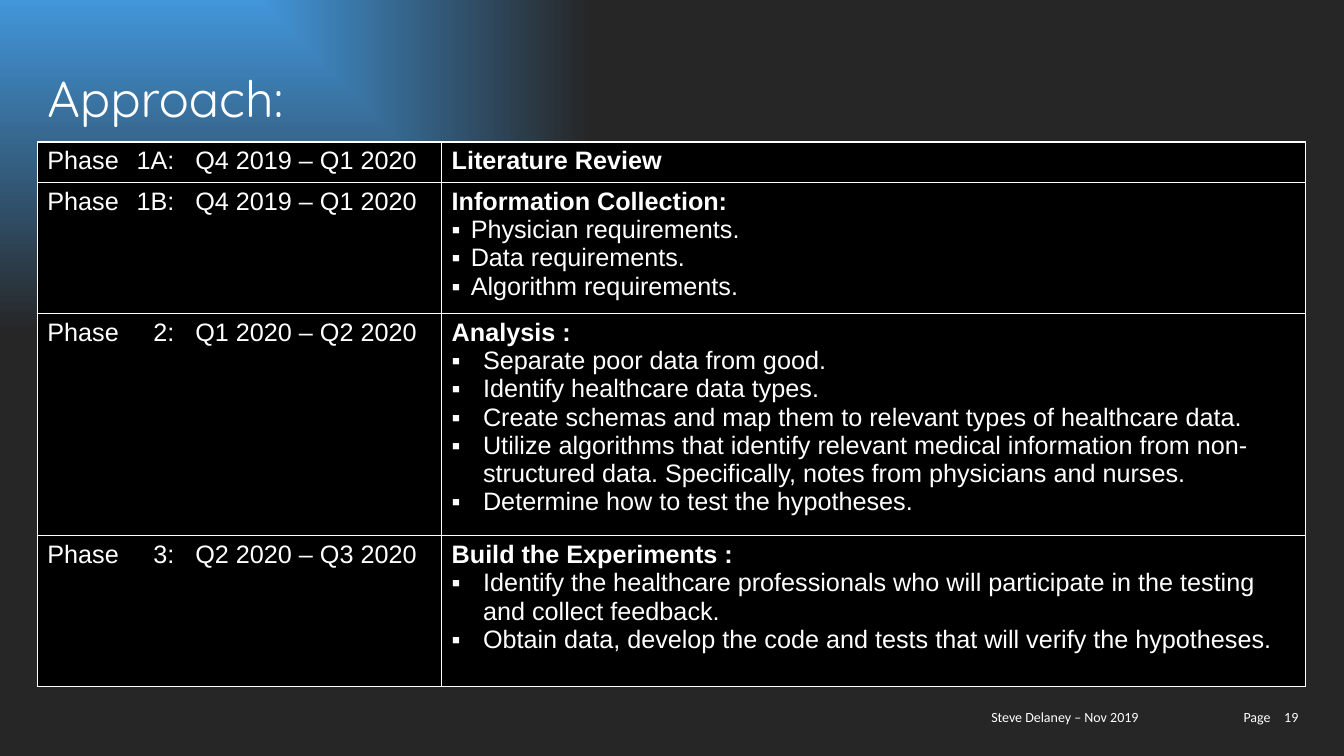
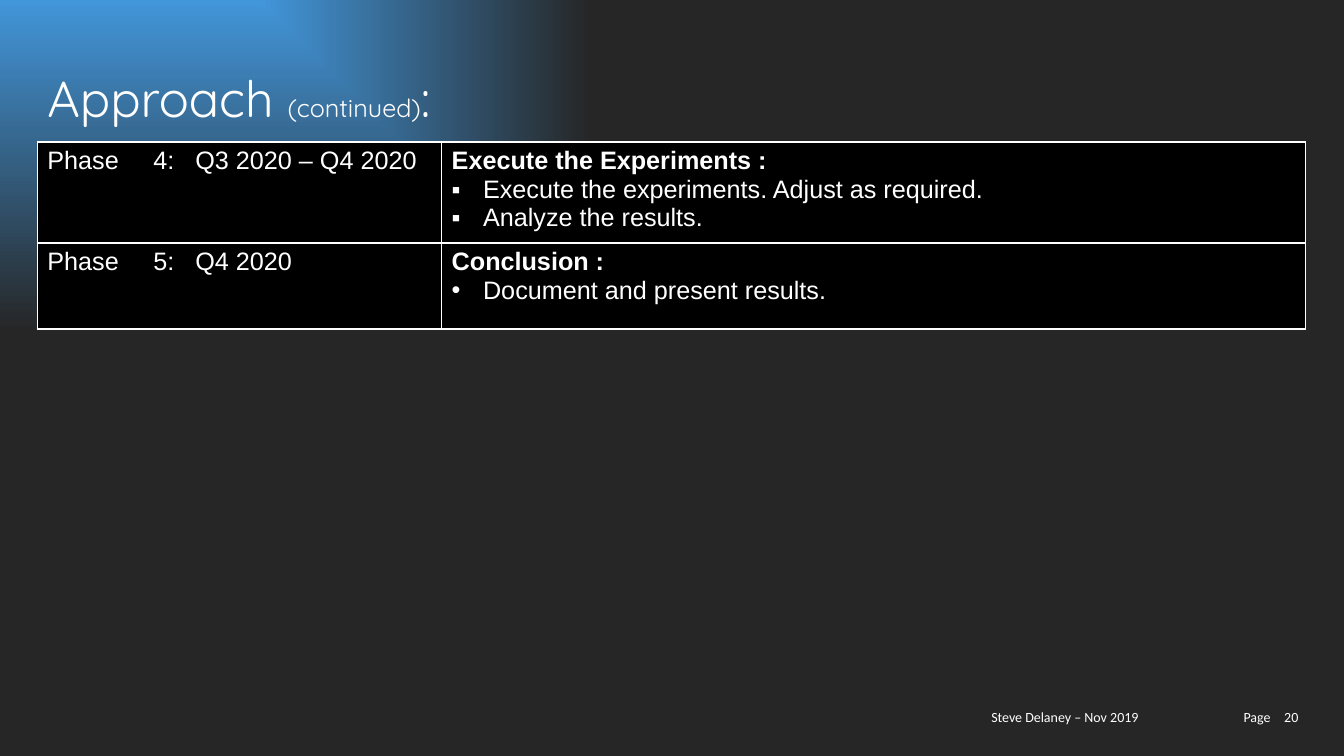
from pptx import Presentation
from pptx.dml.color import RGBColor
from pptx.enum.text import MSO_ANCHOR, MSO_AUTO_SIZE, PP_ALIGN
from pptx.oxml import parse_xml
from pptx.oxml.ns import nsdecls, qn
from pptx.util import Cm, Pt

LEFT, RIGHT = PP_ALIGN.LEFT, PP_ALIGN.RIGHT
MIDDLE = MSO_ANCHOR.MIDDLE
GROW = MSO_AUTO_SIZE.SHAPE_TO_FIT_TEXT

WHITE = RGBColor(0xFF, 0xFF, 0xFF)
BLACK = RGBColor(0x00, 0x00, 0x00)
BLUE = RGBColor(0x42, 0x96, 0xDA)
CHARCOAL = RGBColor(0x26, 0x26, 0x26)

TITLE_FONT, TABLE_FONT, FOOTER_FONT = "Quicksand", "Arial", "Calibri"
TITLE_SIZE, TABLE_SIZE, FOOTER_SIZE = 36, 18, 10

TITLE_ONLY = 5
MARGIN = Cm(0.94)
TABLE_TOP = Cm(3.58)
COLUMNS = Cm(10.19), Cm(21.77)
FOOTER_TOP, FOOTER_HEIGHT = Cm(17.55), Cm(1.04)
PHASE_TABS = (Cm(3.2), "r"), (Cm(3.73), "l")
PAGE_TABS = ((Cm(1.39), "r"),)
NARROW, WIDE = Cm(0.48), Cm(0.79)
SQUARE, DOT = "▪", "•"


class Deck:
    """Holds the shared style and the page being filled."""

    def __init__(self):
        self.deck = Presentation()
        self.deck.slide_width, self.deck.slide_height = Cm(33.87), Cm(19.05)
        self.page = None
        self.paint_background()

    def paint_background(self):
        """Give the master a gradient that spreads from the top left corner."""
        master = self.deck.slide_master
        master.background.fill.solid()
        properties = master.element.find(".//" + qn("p:bgPr"))
        gradient = parse_xml(
            f'<a:gradFill {nsdecls("a")} rotWithShape="1"><a:gsLst>'
            f'<a:gs pos="0"><a:srgbClr val="{BLUE}"/></a:gs>'
            f'<a:gs pos="88000"><a:srgbClr val="{CHARCOAL}"/></a:gs></a:gsLst>'
            '<a:path path="rect"><a:fillToRect r="100000" b="100000"/></a:path>'
            '</a:gradFill>')
        properties.replace(properties[0], gradient)

    def add_page(self, number, title_spans):
        layout = self.deck.slide_layouts[TITLE_ONLY]
        self.page = self.deck.slides.add_slide(layout)
        self.add_title(title_spans)
        self.add_footer("Steve Delaney – Nov 2019", Cm(24.49), Cm(4.45), RIGHT)
        page_para = self.add_footer(f"Page\t{number}", Cm(31.09), Cm(1.88), LEFT)
        self.set_tabs(page_para, PAGE_TABS)

    def add_title(self, spans):
        """Write the title from (text, size) pairs."""
        box = self.page.shapes.title
        box.left, box.top, box.width, box.height = MARGIN, Cm(1.55), Cm(32.03), Cm(1.8)
        frame = box.text_frame
        frame.auto_size = GROW
        frame.vertical_anchor = MIDDLE
        para = frame.paragraphs[0]
        para.alignment = LEFT
        for text, size in spans:
            span = para.add_run()
            span.text = text
            self.format_span(span, TITLE_FONT, size)

    def add_footer(self, text, left, width, alignment):
        box = self.page.shapes.add_textbox(left, FOOTER_TOP, width, FOOTER_HEIGHT)
        frame = box.text_frame
        frame.word_wrap = True
        frame.vertical_anchor = MIDDLE
        frame.text = text
        para = frame.paragraphs[0]
        para.alignment = alignment
        self.format_span(para.runs[0], FOOTER_FONT, FOOTER_SIZE)
        return para

    def add_phases(self, top, phases, indent=WIDE):
        """Add a table of (height, label, heading, bullet, items) rows; return its bottom."""
        heights = [Cm(phase[0]) for phase in phases]
        frame = self.page.shapes.add_table(
            len(phases), len(COLUMNS), MARGIN, top, sum(COLUMNS), sum(heights))
        table = frame.table
        table.first_row = table.horz_banding = False
        for column, width in zip(table.columns, COLUMNS):
            column.width = width
        for row, height, phase in zip(table.rows, heights, phases):
            row.height = height
            _, label, heading, bullet, items = phase
            label_cell, detail_cell = row.cells
            self.fill_cell(label_cell, [label])
            self.set_tabs(label_cell.text_frame.paragraphs[0], PHASE_TABS)
            self.fill_cell(detail_cell, [heading, *items])
            heading_para, *item_paras = detail_cell.text_frame.paragraphs
            heading_para.runs[0].font.bold = True
            for para in item_paras:
                self.set_bullet(para, bullet, indent)
        return top + sum(heights)

    def fill_cell(self, cell, lines):
        cell.text_frame.text = "\n".join(lines)
        for para in cell.text_frame.paragraphs:
            self.format_span(para.runs[0], TABLE_FONT, TABLE_SIZE)
        cell.fill.solid()
        cell.fill.fore_color.rgb = BLACK
        properties = cell._tc.get_or_add_tcPr()
        for position, side in enumerate("LRTB"):
            properties.insert(position, parse_xml(
                f'<a:ln{side} {nsdecls("a")} w="{Pt(1)}"><a:solidFill>'
                f'<a:srgbClr val="{WHITE}"/></a:solidFill></a:ln{side}>'))

    @staticmethod
    def format_span(span, font, size):
        span.font.name = font
        span.font.size = Pt(size)
        span.font.color.rgb = WHITE

    @staticmethod
    def set_tabs(para, stops):
        tabs = "".join(f'<a:tab pos="{place}" algn="{side}"/>' for place, side in stops)
        para._p.get_or_add_pPr().append(
            parse_xml(f'<a:tabLst {nsdecls("a")}>{tabs}</a:tabLst>'))

    @staticmethod
    def set_bullet(para, bullet, indent):
        properties = para._p.get_or_add_pPr()
        properties.set("marL", str(indent))
        properties.set("indent", str(-indent))
        properties.append(parse_xml(f'<a:buFont {nsdecls("a")} typeface="{TABLE_FONT}"/>'))
        properties.append(parse_xml(f'<a:buChar {nsdecls("a")} char="{bullet}"/>'))


PREPARATION = [
    (1.02, "Phase\t1A:\tQ4 2019 – Q1 2020", "Literature Review", SQUARE, []),
    (3.3, "Phase\t1B:\tQ4 2019 – Q1 2020", "Information Collection:", SQUARE, [
        "Physician requirements.",
        "Data requirements.",
        "Algorithm requirements.",
    ]),
]
DEVELOPMENT = [
    (5.6, "Phase\t2:\tQ1 2020 – Q2 2020", "Analysis :", SQUARE, [
        "Separate poor data from good.",
        "Identify healthcare data types.",
        "Create schemas and map them to relevant types of healthcare data.",
        "Utilize algorithms that identify relevant medical information from "
        "non-structured data. Specifically, notes from physicians and nurses.",
        "Determine how to test the hypotheses.",
    ]),
    (3.8, "Phase\t3:\tQ2 2020 – Q3 2020", "Build the Experiments :", SQUARE, [
        "Identify the healthcare professionals who will participate in the "
        "testing and collect feedback.",
        "Obtain data, develop the code and tests that will verify the hypotheses.",
    ]),
]
COMPLETION = [
    (2.4, "Phase\t4:\tQ3 2020 – Q4 2020", "Execute the Experiments :", SQUARE, [
        "Execute the experiments. Adjust as required.",
        "Analyze the results.",
    ]),
    (2.17, "Phase\t5:\tQ4 2020", "Conclusion :", DOT, [
        "Document and present results.",
    ]),
]


def main():
    deck = Deck()
    deck.add_page(19, [("Approach:", TITLE_SIZE)])
    bottom = deck.add_phases(TABLE_TOP, PREPARATION, NARROW)
    deck.add_phases(bottom, DEVELOPMENT)

    deck.add_page(20, [("Approach ", TITLE_SIZE), ("(continued)", 18), (":", TITLE_SIZE)])
    deck.add_phases(TABLE_TOP, COMPLETION)
    deck.deck.save("out.pptx")


if __name__ == "__main__":
    main()
